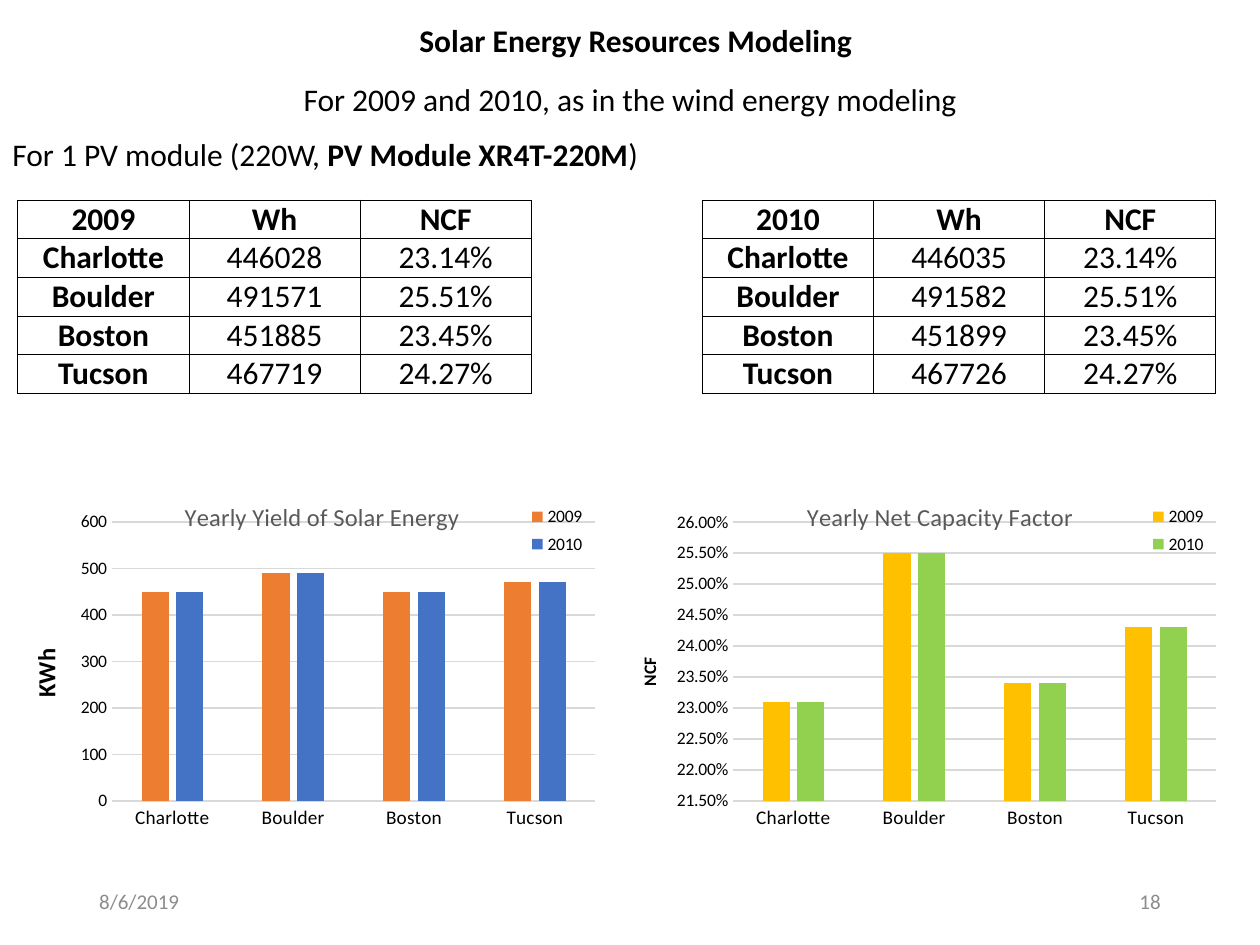
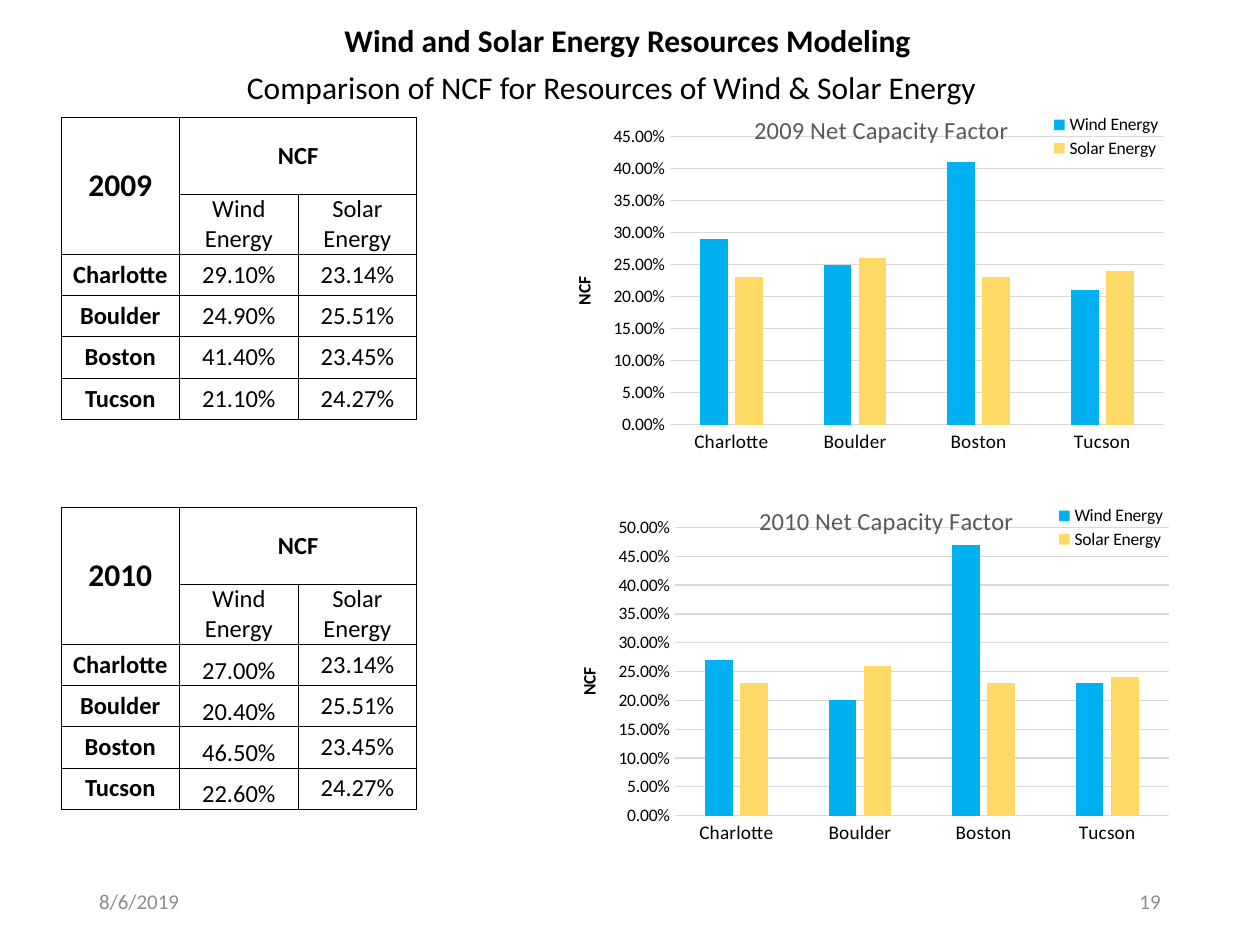
from lxml import etree
from pptx import Presentation
from pptx.chart.data import CategoryChartData
from pptx.dml.color import RGBColor
from pptx.enum.chart import XL_CHART_TYPE as ChartType
from pptx.enum.chart import XL_LEGEND_POSITION as LegendPosition
from pptx.enum.chart import XL_TICK_MARK as TickMark
from pptx.enum.text import MSO_ANCHOR as Anchor
from pptx.enum.text import MSO_AUTO_SIZE as AutoSize
from pptx.enum.text import PP_ALIGN as Align
from pptx.oxml.ns import qn
from pptx.util import Cm, Pt

# Shared look
FONT = "Calibri"
BLACK, FOOTER_GRAY, TITLE_GRAY, GRID_GRAY = "000000", "8C8C8C", "595959", "D9D9D9"
ORANGE, BLUE, AMBER, GREEN = "ED7D31", "4472C4", "FFC000", "92D050"
SKY, YELLOW = "00B0F0", "FFD966"
LINE_HEIGHT = 1.02  # cm, box height of one text line

# Data
CITIES = ["Charlotte", "Boulder", "Boston", "Tucson"]
YEARS = ["2009", "2010"]
SOLAR_WH = {
    "2009": [446028, 491571, 451885, 467719],
    "2010": [446035, 491582, 451899, 467726],
}
SOLAR_NCF = [23.14, 25.51, 23.45, 24.27]
WIND_NCF = {
    "2009": [29.10, 24.90, 41.40, 21.10],
    "2010": [27.00, 20.40, 46.50, 22.60],
}


def color(hex_string):
    return RGBColor.from_string(hex_string)


def percent(value):
    return f"{value:.2f}%"


def fractions(percentages, digits):
    return [round(value / 100, digits) for value in percentages]


def style_font(font, size, hex_string=BLACK, bold=False):
    font.name = FONT
    font.size = Pt(size)
    font.bold = bold
    font.color.rgb = color(hex_string)


# Text
def write_line(shape, pieces, size=18, hex_string=BLACK, align=Align.LEFT, anchor=Anchor.TOP):
    """Fill a shape with one line made of (text, bold) pieces."""
    frame = shape.text_frame
    frame.auto_size = AutoSize.NONE
    frame.word_wrap = False
    frame.vertical_anchor = anchor
    paragraph = frame.paragraphs[0]
    paragraph.alignment = align
    for text, bold in pieces:
        run = paragraph.add_run()
        run.text = text
        style_font(run.font, size, hex_string, bold)


def add_line(slide, left, top, width, pieces, **options):
    box = slide.shapes.add_textbox(Cm(left), Cm(top), Cm(width), Cm(LINE_HEIGHT))
    write_line(box, pieces, **options)


def add_base_slide(presentation, title, title_left, title_width, number):
    """Title-only slide with its date and page number."""
    slide = presentation.slides.add_slide(presentation.slide_layouts[5])
    shape = slide.shapes.title
    shape.left, shape.top = Cm(title_left), Cm(0.3)
    shape.width, shape.height = Cm(title_width), Cm(LINE_HEIGHT)
    write_line(shape, [(title, True)])
    for left, text, align in ((1.75, "8/6/2019", Align.LEFT), (17.93, number, Align.RIGHT)):
        add_line(slide, left, 17.65, 5.72, [(text, False)], size=12,
                 hex_string=FOOTER_GRAY, align=align, anchor=Anchor.MIDDLE)
    return slide


# Tables
def set_borders(cell, sides):
    """Draw thin black lines on the named sides and clear the others."""
    properties = cell._tc.get_or_add_tcPr()
    for side in "LRTB":
        line = etree.SubElement(properties, qn(f"a:ln{side}"), w=str(Pt(0.5)))
        if side in sides:
            fill = etree.SubElement(line, qn("a:solidFill"))
            etree.SubElement(fill, qn("a:srgbClr"), val=BLACK)
        else:
            etree.SubElement(line, qn("a:noFill"))


def write_cell(cell, text, size, bold, anchor=Anchor.MIDDLE):
    cell.vertical_anchor = anchor
    paragraph = cell.text_frame.paragraphs[0]
    paragraph.text = text
    paragraph.alignment = Align.CENTER
    for run in paragraph.runs:
        style_font(run.font, size, bold=bold)


def add_plain_table(slide, left, top, column_width, column_count, row_heights, gap_column=None):
    """Unfilled ruled table; the gap column keeps only its upright lines."""
    frame = slide.shapes.add_table(
        len(row_heights), column_count, Cm(left), Cm(top),
        Cm(column_width * column_count), Cm(sum(row_heights)))
    table = frame.table
    table.first_row = table.horz_banding = False
    for column in table.columns:
        column.width = Cm(column_width)
    for row, height in zip(table.rows, row_heights):
        row.height = Cm(height)
        for index, cell in enumerate(row.cells):
            cell.margin_left = cell.margin_right = cell.margin_top = cell.margin_bottom = 0
            set_borders(cell, "LR" if index == gap_column else "LRTB")
            cell.fill.background()
    return table


def add_yield_table(slide, left, top):
    """Both years side by side, with an empty column between them."""
    table = add_plain_table(slide, left, top, 3.45, 7, [0.78] * 5, gap_column=3)
    for first_column, year in zip((0, 4), YEARS):
        rows = [(year, "Wh", "NCF")]
        rows += [(city, str(energy), percent(factor))
                 for city, energy, factor in zip(CITIES, SOLAR_WH[year], SOLAR_NCF)]
        for row, values in enumerate(rows):
            for column, text in enumerate(values):
                write_cell(table.cell(row, first_column + column), text, 18,
                           bold=row == 0 or column == 0)


def add_comparison_table(slide, left, top, year, wind_anchor):
    table = add_plain_table(slide, left, top, 2.39, 3, [1.55, 1.21] + [0.83] * 4)
    # Merged headings
    table.cell(0, 0).merge(table.cell(1, 0))
    table.cell(0, 1).merge(table.cell(0, 2))
    write_cell(table.cell(0, 0), year, 18, True)
    write_cell(table.cell(0, 1), "NCF", 14, True)
    write_cell(table.cell(1, 1), "Wind Energy", 14, False)
    write_cell(table.cell(1, 2), "Solar Energy", 14, False)
    # City rows
    for row, (city, wind, solar) in enumerate(zip(CITIES, WIND_NCF[year], SOLAR_NCF), start=2):
        write_cell(table.cell(row, 0), city, 14, True)
        write_cell(table.cell(row, 1), percent(wind), 14, False, wind_anchor)
        write_cell(table.cell(row, 2), percent(solar), 14, False)


# Charts
def set_layout(element, previous_tag, **lengths):
    """Place a chart part by fractions of the chart; a sized plot is its inner area."""
    for existing in element.findall(qn("c:layout")):
        element.remove(existing)
    layout = etree.Element(qn("c:layout"))
    manual = etree.SubElement(layout, qn("c:manualLayout"))
    if element.tag == qn("c:plotArea"):
        etree.SubElement(manual, qn("c:layoutTarget"), val="inner")
    for mode in ("xMode", "yMode"):
        etree.SubElement(manual, qn(f"c:{mode}"), val="edge")
    for name, value in lengths.items():
        etree.SubElement(manual, qn(f"c:{name}"), val=str(value))
    previous = element.find(qn(previous_tag)) if previous_tag else None
    if previous is None:
        element.insert(0, layout)
    else:
        previous.addnext(layout)


def format_value_axis(axis, title, title_size, title_place, scale, number_format):
    axis.minimum_scale, axis.maximum_scale, axis.major_unit = scale
    axis.major_tick_mark = axis.minor_tick_mark = TickMark.NONE
    axis.format.line.fill.background()
    axis.major_gridlines.format.line.color.rgb = color(GRID_GRAY)
    axis.major_gridlines.format.line.width = Pt(0.75)
    axis.tick_labels.number_format = number_format
    axis.tick_labels.number_format_is_linked = False
    style_font(axis.tick_labels.font, 10)
    frame = axis.axis_title.text_frame
    frame.text = title
    style_font(frame.paragraphs[0].runs[0].font, title_size, bold=True)
    element = axis.axis_title.element
    body = next(element.iter(qn("a:bodyPr")))
    body.set("rot", "-5400000")
    body.set("vert", "horz")
    x, y = title_place
    set_layout(element, "c:tx", x=x, y=y)


def add_column_chart(slide, box, title, title_x, series, legend, scale,
                     number_format="0.00%", axis_title="NCF", axis_title_size=10,
                     axis_title_place=(0, 0.475)):
    """Clustered columns by city; series holds (name, values, colour)."""
    data = CategoryChartData(number_format=number_format)
    data.categories = CITIES
    for name, values, _ in series:
        data.add_series(name, values)
    frame = slide.shapes.add_chart(ChartType.COLUMN_CLUSTERED, *map(Cm, box), data)
    chart = frame.chart
    style_font(chart.font, 10)

    # Title over the plot
    text_frame = chart.chart_title.text_frame
    text_frame.text = title
    style_font(text_frame.paragraphs[0].runs[0].font, 14, TITLE_GRAY)
    title_element = chart.chart_title.element
    set_layout(title_element, "c:tx", x=title_x, y=0.038)
    title_element.find(qn("c:overlay")).set("val", "1")

    # Columns
    plot = chart.plots[0]
    plot.gap_width, plot.overlap = 219, -27
    plot.vary_by_categories = False
    for column_series, (_, _, hex_string) in zip(plot.series, series):
        column_series.format.fill.solid()
        column_series.format.fill.fore_color.rgb = color(hex_string)
    set_layout(next(chart.element.iter(qn("c:plotArea"))), None,
               x=0.159, y=0.112, w=0.785, h=0.763)

    # Axes
    category_axis = chart.category_axis
    category_axis.major_tick_mark = category_axis.minor_tick_mark = TickMark.NONE
    category_axis.format.line.color.rgb = color(GRID_GRAY)
    category_axis.format.line.width = Pt(0.75)
    style_font(category_axis.tick_labels.font, 11)
    format_value_axis(chart.value_axis, axis_title, axis_title_size, axis_title_place,
                      scale, number_format)

    # Legend in the upper right corner
    chart.has_legend = True
    chart.legend.position = LegendPosition.RIGHT
    chart.legend.include_in_layout = True
    style_font(chart.legend.font, 10)
    x, y, width, height = legend
    set_layout(next(chart.element.iter(qn("c:legend"))), "c:legendPos",
               x=x, y=y, w=width, h=height)


# Slides
def build_solar_slide(presentation):
    slide = add_base_slide(presentation, "Solar Energy Resources Modeling", 8.2, 9.3, "18")
    add_line(slide, 5.87, 1.49, 14, [("For 2009 and 2010, as in the wind energy modeling", False)])
    add_line(slide, 0, 2.59, 13.77, [("For 1 PV module (220W, ", False),
                                     ("PV Module XR4T-220M", True), (")", False)])
    add_yield_table(slide, 0.36, 4.03)
    legend = (0.807, 0.05, 0.15, 0.17)
    energy = [(year, [round(watt_hours / 1000, -1) for watt_hours in SOLAR_WH[year]], hex_string)
              for year, hex_string in zip(YEARS, (ORANGE, BLUE))]
    add_column_chart(slide, (0.28, 9.7, 12.42, 7.37), "Yearly Yield of Solar Energy", 0.27,
                     energy, legend, (0, 600, 100), number_format="0", axis_title="KWh",
                     axis_title_size=14, axis_title_place=(0.017, 0.445))
    factors = [(year, fractions(SOLAR_NCF, 3), hex_string)
               for year, hex_string in zip(YEARS, (AMBER, GREEN))]
    add_column_chart(slide, (12.8, 9.7, 12.42, 7.37), "Yearly Net Capacity Factor", 0.272,
                     factors, legend, (0.215, 0.26, 0.005))


def build_comparison_slide(presentation):
    slide = add_base_slide(presentation, "Wind and Solar Energy Resources Modeling",
                           6.69, 12.01, "19")
    add_line(slide, 4.73, 1.24, 15.93,
             [("Comparison of NCF for Resources of Wind & Solar Energy", False)])
    rows = (
        ("2009", 2.37, Anchor.MIDDLE, 11.48, 1.9, 0.45),
        ("2010", 10.23, Anchor.BOTTOM, 11.58, 9.78, 0.5),
    )
    for year, table_top, wind_anchor, chart_left, chart_top, maximum in rows:
        add_comparison_table(slide, 1.23, table_top, year, wind_anchor)
        series = [("Wind Energy", fractions(WIND_NCF[year], 2), SKY),
                  ("Solar Energy", fractions(SOLAR_NCF, 2), YELLOW)]
        add_column_chart(slide, (chart_left, chart_top, 12.7, 7.62),
                         f"{year} Net Capacity Factor", 0.286, series,
                         (0.737, 0.045, 0.23, 0.135), (0, maximum, 0.05))


def main():
    presentation = Presentation()
    presentation.slide_width, presentation.slide_height = Cm(25.4), Cm(19.05)
    build_solar_slide(presentation)
    build_comparison_slide(presentation)
    presentation.save("out.pptx")


if __name__ == "__main__":
    main()
